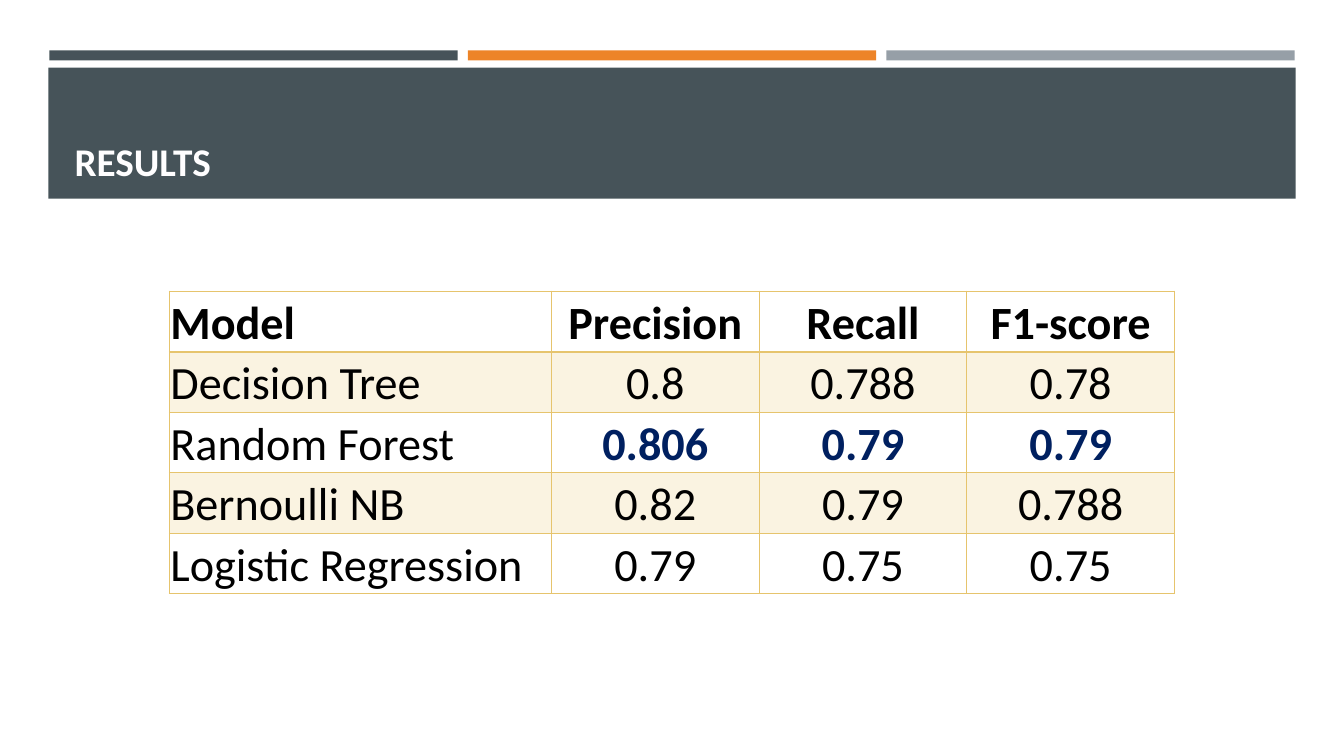
from dataclasses import dataclass

import pptx
import pptx.dml.color
import pptx.enum.shapes
import pptx.enum.text
import pptx.oxml
import pptx.oxml.ns
import pptx.util

PX = 9144
ALIGN = pptx.enum.text.PP_ALIGN
ANCHOR = pptx.enum.text.MSO_ANCHOR


@dataclass(frozen=True)
class Theme:
    font: str = "Calibri"
    slate: str = "465359"
    orange: str = "ED8428"
    grey: str = "969FA7"
    gold: str = "E6C46D"
    title: str = "FFFEFF"
    text: str = "000000"
    best: str = "002060"
    title_size: int = 28
    table_size: int = 33
    band_opacity: int = 20


THEME = Theme()
RESULTS = [
    ("Model", "Precision", "Recall", "F1-score"),
    ("Decision Tree", "0.8", "0.788", "0.78"),
    ("Random Forest", "0.806", "0.79", "0.79"),
    ("Bernoulli NB", "0.82", "0.79", "0.788"),
    ("Logistic Regression", "0.79", "0.75", "0.75"),
]
BEST_MODEL = "Random Forest"


def px(length):
    return pptx.util.Emu(length * PX)


def rgb(color):
    return pptx.dml.color.RGBColor.from_string(color)


def write_text(frame, text, *, size, color, bold=False, align=ALIGN.LEFT):
    paragraph = frame.paragraphs[0]
    paragraph.alignment = align
    run = paragraph.add_run()
    run.text = text
    run.font.name = THEME.font
    run.font.size = pptx.util.Pt(size)
    run.font.bold = bold
    run.font.color.rgb = rgb(color)


def add_bar(slide, box, color):
    bar = slide.shapes.add_shape(
        pptx.enum.shapes.MSO_SHAPE.RECTANGLE, *map(px, box))
    bar.shadow.inherit = False
    bar.fill.solid()
    bar.fill.fore_color.rgb = rgb(color)
    bar.line.fill.background()


def add_accent_bars(slide, box):
    left, top, width, height = box
    gap = 10
    colors = (THEME.slate, THEME.orange, THEME.grey)
    bar_width = (width - gap * (len(colors) - 1)) // len(colors)
    for index, color in enumerate(colors):
        add_bar(slide, (left + index * (bar_width + gap), top, bar_width, height), color)


def add_title_band(slide, box, text):
    left, top, width, height = box
    add_bar(slide, box, THEME.slate)
    title = slide.shapes.title
    title.left, title.top = px(left + 16), px(top + 10)
    title.width, title.height = px(width - 31), px(height - 19)
    slide.shapes._spTree.append(title._element)
    frame = title.text_frame
    frame.word_wrap = True
    frame.auto_size = pptx.enum.text.MSO_AUTO_SIZE.NONE
    frame.vertical_anchor = ANCHOR.BOTTOM
    write_text(frame, text, size=THEME.title_size, color=THEME.title, bold=True)


def set_borders(cell, **widths):
    properties = cell._tc.get_or_add_tcPr()
    for side in ("L", "R", "T", "B"):
        width = pptx.util.Pt(widths.get(side, 1))
        properties.append(pptx.oxml.parse_xml(
            f'<a:ln{side} {pptx.oxml.ns.nsdecls("a")} w="{width}"><a:solidFill>'
            f'<a:srgbClr val="{THEME.gold}"/></a:solidFill></a:ln{side}>'))


def fill_band(cell):
    cell.fill.solid()
    cell.fill.fore_color.rgb = rgb(THEME.gold)
    color = cell._tc.tcPr.find(".//" + pptx.oxml.ns.qn("a:solidFill") + "[last()]")
    fill = cell._tc.tcPr.find(pptx.oxml.ns.qn("a:solidFill"))
    fill[0].append(pptx.oxml.parse_xml(
        f'<a:alpha {pptx.oxml.ns.nsdecls("a")} val="{THEME.band_opacity * 1000}"/>'))


def add_results_table(slide, box, rows):
    left, top, width, height = box
    score_width = 206
    score_count = len(rows[0]) - 1
    table = slide.shapes.add_table(len(rows), len(rows[0]), *map(px, box)).table
    table.first_row = True
    table.horz_banding = False
    table.columns[0].width = px(width - score_width * score_count)
    for column in range(1, score_count + 1):
        table.columns[column].width = px(score_width)
    for row_index, values in enumerate(rows):
        table.rows[row_index].height = px(height // len(rows))
        header = row_index == 0
        for column, value in enumerate(values):
            cell = table.cell(row_index, column)
            cell.margin_left = cell.margin_right = cell.margin_top = px(1)
            cell.margin_bottom = 0
            cell.vertical_anchor = ANCHOR.BOTTOM
            set_borders(cell, B=2 if header else 1, T=2 if row_index == 1 else 1)
            if row_index % 2:
                fill_band(cell)
            else:
                cell.fill.background()
            best = values[0] == BEST_MODEL and column > 0
            write_text(cell.text_frame, value, size=THEME.table_size,
                       color=THEME.best if best else THEME.text,
                       bold=header or best,
                       align=ALIGN.CENTER if column else ALIGN.LEFT)


def build_results_slide(deck):
    slide = deck.slides.add_slide(deck.slide_layouts[5])
    add_accent_bars(slide, (49, 50, 1235, 10))
    add_title_band(slide, (48, 67, 1237, 130), "RESULTS")
    add_results_table(slide, (168, 289, 997, 301), RESULTS)


def main():
    deck = pptx.Presentation()
    deck.slide_width, deck.slide_height = px(1333), px(750)
    build_results_slide(deck)
    deck.save("out.pptx")


if __name__ == "__main__":
    main()
